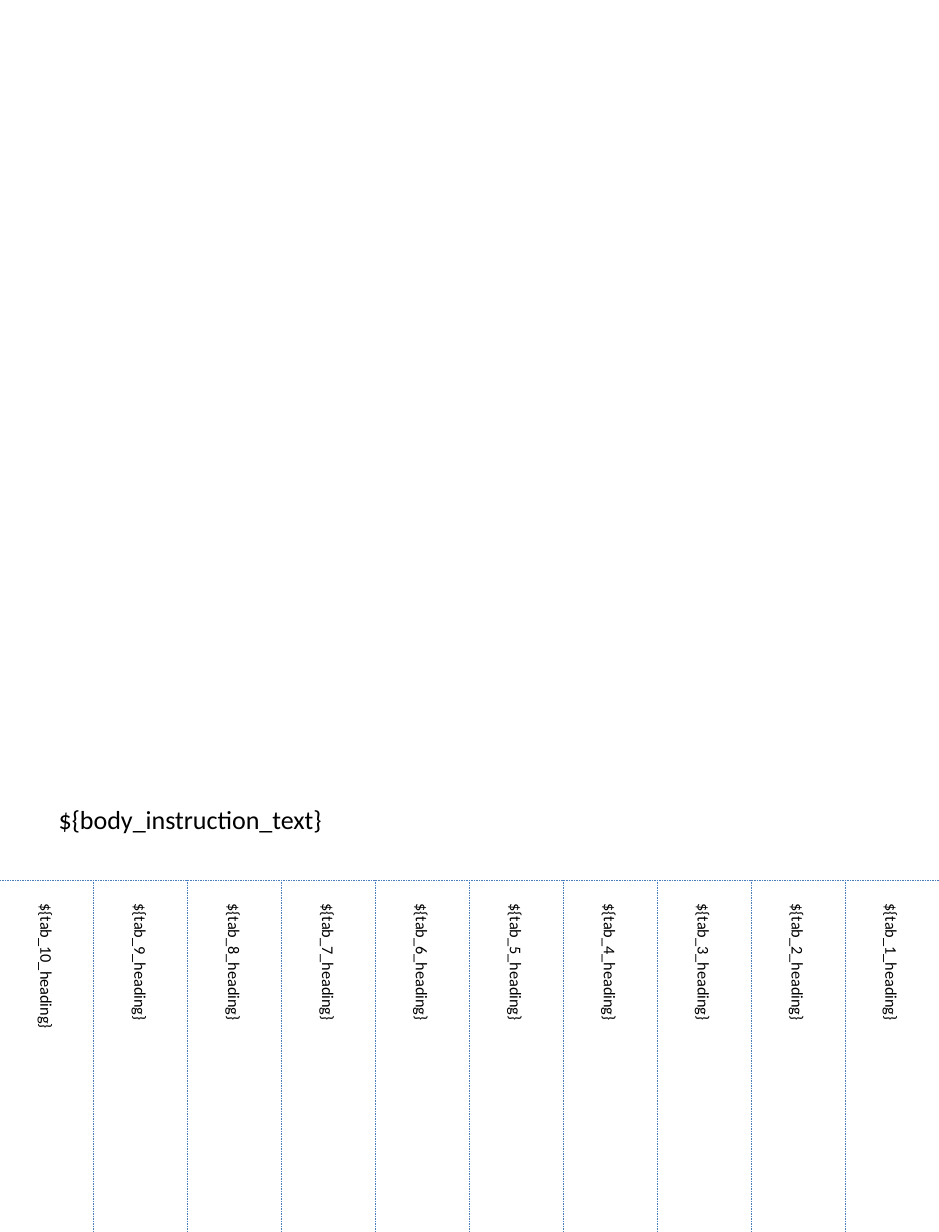
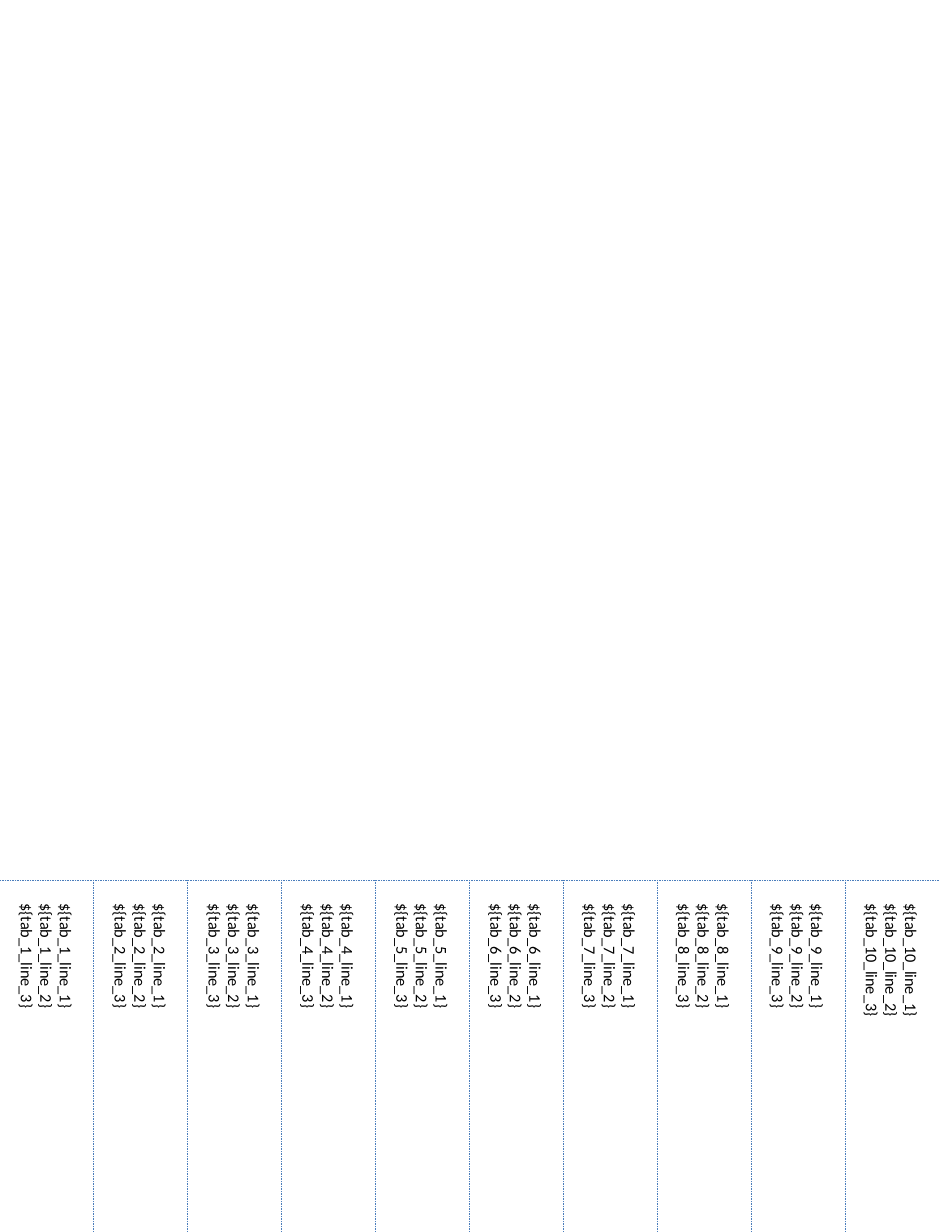
"""Build two tear-off flyer pages with ten vertical tabs each."""
from lxml.etree import SubElement
from pptx import Presentation
from pptx.dml.color import RGBColor
from pptx.enum.dml import MSO_LINE
from pptx.enum.shapes import MSO_CONNECTOR as Connector
from pptx.enum.text import MSO_ANCHOR as Anchor, MSO_AUTO_SIZE as AutoSize
from pptx.oxml.ns import qn
from pptx.util import Cm, Pt

PAGE_WIDTH, PAGE_HEIGHT = Cm(20.32), Cm(26.67)
TAB_COUNT = 10
TAB_TOP = Cm(19.05)
TAB_WIDTH = PAGE_WIDTH // TAB_COUNT
TAB_HEIGHT = PAGE_HEIGHT - TAB_TOP


def color(hex_code):
    return RGBColor.from_string(hex_code)


class Flyer:
    font = "Calibri"
    ink = "000000"
    cut_color = "4B7EBC"

    def __init__(self):
        self.deck = Presentation()
        self.deck.slide_width, self.deck.slide_height = PAGE_WIDTH, PAGE_HEIGHT
        self.slide = None

    def page(self):
        self.slide = self.deck.slides.add_slide(self.deck.slide_layouts[6])

    def text(self, parent, lines, left, top, width, height, size):
        box = parent.add_textbox(left, top, width, height)
        frame = box.text_frame
        frame.auto_size = AutoSize.NONE
        frame.word_wrap = True
        for index, line in enumerate(lines):
            paragraph = frame.add_paragraph() if index else frame.paragraphs[0]
            run = paragraph.add_run()
            run.text = line
            run.font.name = self.font
            run.font.size = Pt(size)
            run.font.color.rgb = color(self.ink)
        return box

    def tab(self, parent, position, lines):
        left = position * TAB_WIDTH
        label = self.text(parent, lines, left, TAB_TOP, TAB_WIDTH, TAB_HEIGHT, 10)
        frame = label.text_frame
        frame.word_wrap = False
        frame.vertical_anchor = Anchor.MIDDLE
        frame.margin_left = frame.margin_right = Cm(0.13)
        frame.margin_top, frame.margin_bottom = Cm(0.51), 0
        label.element.txBody.bodyPr.set("vert", "vert")

    def cut_line(self, parent, x1, y1, x2, y2):
        cut = parent.add_connector(Connector.STRAIGHT, x1, y1, x2, y2)
        cut.line.color.rgb = color(self.cut_color)
        cut.line.width = Pt(0.5)
        cut.line.dash_style = MSO_LINE.ROUND_DOT
        SubElement(cut.element.spPr, qn("a:effectLst"))

    def tab_strip(self, tabs):
        strip = self.slide.shapes.add_group_shape().shapes
        for position, lines in enumerate(tabs):
            self.tab(strip, position, lines)
        self.cut_line(strip, 0, TAB_TOP, PAGE_WIDTH, TAB_TOP)
        for position in range(1, TAB_COUNT):
            x = position * TAB_WIDTH
            self.cut_line(strip, x, TAB_TOP, x, PAGE_HEIGHT)

    def instruction(self, wording):
        self.text(self.slide.shapes, [wording], Cm(1.02), Cm(17.27), Cm(18.29), Cm(1.35), 16)


flyer = Flyer()
numbers = range(1, TAB_COUNT + 1)

flyer.page()
flyer.tab_strip([[f"${{tab_{number}_heading}}"] for number in reversed(numbers)])
flyer.instruction("${body_instruction_text}")

flyer.page()
flyer.tab_strip([[f"${{tab_{number}_line_{line}}}" for line in range(1, 4)] for number in numbers])

flyer.deck.save("out.pptx")
